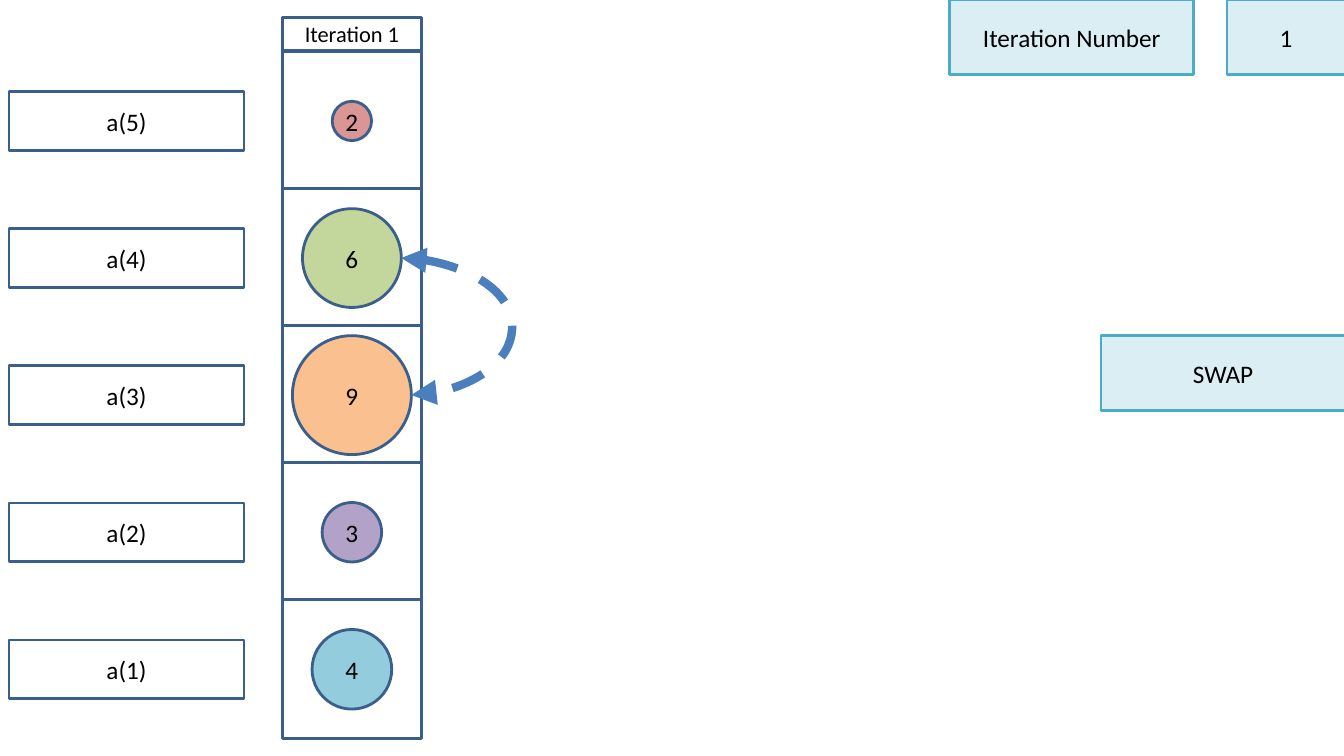
from dataclasses import dataclass

from lxml.etree import SubElement
from pptx import Presentation
from pptx.dml.color import RGBColor
from pptx.enum.dml import MSO_LINE
from pptx.enum.shapes import MSO_CONNECTOR, MSO_SHAPE
from pptx.enum.text import MSO_ANCHOR, PP_ALIGN
from pptx.oxml.ns import qn
from pptx.util import Inches, Pt

BLACK = RGBColor(0x00, 0x00, 0x00)
WHITE = RGBColor(0xFF, 0xFF, 0xFF)
NAVY = RGBColor(0x3A, 0x5F, 0x8C)
ARROW_BLUE = RGBColor(0x4B, 0x7E, 0xBC)
TEAL = RGBColor(0x4B, 0xAC, 0xC6)
PALE_TEAL = RGBColor(0xDB, 0xEE, 0xF4)
ROSE = RGBColor(0xD9, 0x96, 0x94)
GREEN = RGBColor(0xC3, 0xD6, 0x9B)
ORANGE = RGBColor(0xFA, 0xC0, 0x90)
PURPLE = RGBColor(0xB3, 0xA2, 0xC7)
AQUA = RGBColor(0x93, 0xCD, 0xDD)

# Grid of the array, in inches
CELL_LEFT, CELL_SIZE = 2.8, 1.38
CELL_CENTER = CELL_LEFT + CELL_SIZE / 2
FIRST_ROW_CENTER, ROW_PITCH = 1.2, 1.36
LABEL_LEFT, LABEL_WIDTH, LABEL_HEIGHT = 0.09, 2.33, 0.58
PANEL_HEIGHT = 0.74


@dataclass(frozen=True)
class Element:
    label: str
    value: str
    diameter: float
    color: RGBColor


@dataclass(frozen=True)
class Panel:
    text: str
    left: float
    top: float
    width: float


ELEMENTS = [
    Element("a(5)", "2", 0.39, ROSE),
    Element("a(4)", "6", 0.98, GREEN),
    Element("a(3)", "9", 1.18, ORANGE),
    Element("a(2)", "3", 0.59, PURPLE),
    Element("a(1)", "4", 0.79, AQUA),
]
PANELS = [
    Panel("Iteration Number", 9.42, 0, 2.42),
    Panel("1", 12.17, 0, 1.17),
    Panel("SWAP", 10.92, 3.33, 2.42),
]


def row_center(row: int) -> float:
    return FIRST_ROW_CENTER + row * ROW_PITCH


def add_box(slide, left: float, top: float, width: float, height: float,
            text: str = "", fill: RGBColor = WHITE, line: RGBColor = NAVY,
            kind: MSO_SHAPE = MSO_SHAPE.RECTANGLE, size: int = 18) -> None:
    shape = slide.shapes.add_shape(
        kind, Inches(left), Inches(top), Inches(width), Inches(height))
    shape.shadow.inherit = False
    shape.fill.solid()
    shape.fill.fore_color.rgb = fill
    shape.line.color.rgb = line
    shape.line.width = Pt(2)
    if not text:
        return
    frame = shape.text_frame
    frame.text = text
    frame.word_wrap = False
    frame.vertical_anchor = MSO_ANCHOR.MIDDLE
    frame.margin_left = frame.margin_right = 0
    frame.margin_top = frame.margin_bottom = 0
    paragraph = frame.paragraphs[0]
    paragraph.alignment = PP_ALIGN.CENTER
    paragraph.font.name = "Calibri"
    paragraph.font.size = Pt(size)
    paragraph.font.color.rgb = BLACK


def add_swap_arrow(slide, first: int, second: int, bulge: float) -> None:
    """Join the right edges of two circles with a curve, bulging to the right."""
    start, end = (CELL_CENTER + ELEMENTS[row].diameter / 2 for row in (first, second))
    arrow = slide.shapes.add_connector(
        MSO_CONNECTOR.CURVE, Inches(start), Inches(row_center(first)),
        Inches(end), Inches(row_center(second)))
    arrow.line.color.rgb = ARROW_BLUE
    arrow.line.width = Pt(6)
    arrow.line.dash_style = MSO_LINE.DASH

    # Arrowheads, bend and no shadow
    properties = arrow._element.spPr
    for tag in ("a:headEnd", "a:tailEnd"):
        SubElement(arrow.line._get_or_add_ln(), qn(tag), type="triangle")
    SubElement(properties, qn("a:effectLst"))
    guides = properties.find(qn("a:prstGeom")).get_or_add_avLst()
    share = round(bulge / (end - start) * 100000)
    SubElement(guides, qn("a:gd"), name="adj1", fmla=f"val {share}")


def main() -> None:
    presentation = Presentation()
    presentation.slide_width = Inches(13.33)
    presentation.slide_height = Inches(7.5)
    slide = presentation.slides.add_slide(presentation.slide_layouts[6])

    # Array cells with their labels and values
    for row, element in enumerate(ELEMENTS):
        center = row_center(row)
        radius = element.diameter / 2
        add_box(slide, CELL_LEFT, center - CELL_SIZE / 2, CELL_SIZE, CELL_SIZE)
        add_box(slide, LABEL_LEFT, center - LABEL_HEIGHT / 2,
                LABEL_WIDTH, LABEL_HEIGHT, element.label)
        add_box(slide, CELL_CENTER - radius, center - radius,
                element.diameter, element.diameter, element.value,
                fill=element.color, kind=MSO_SHAPE.OVAL)

    # Column heading and swap
    add_swap_arrow(slide, 1, 2, bulge=1.1)
    add_box(slide, CELL_LEFT, 0.17, CELL_SIZE, 0.33, "Iteration 1", size=16)

    # Status panels
    for panel in PANELS:
        add_box(slide, panel.left, panel.top, panel.width, PANEL_HEIGHT,
                panel.text, fill=PALE_TEAL, line=TEAL)

    presentation.save("out.pptx")


if __name__ == "__main__":
    main()
